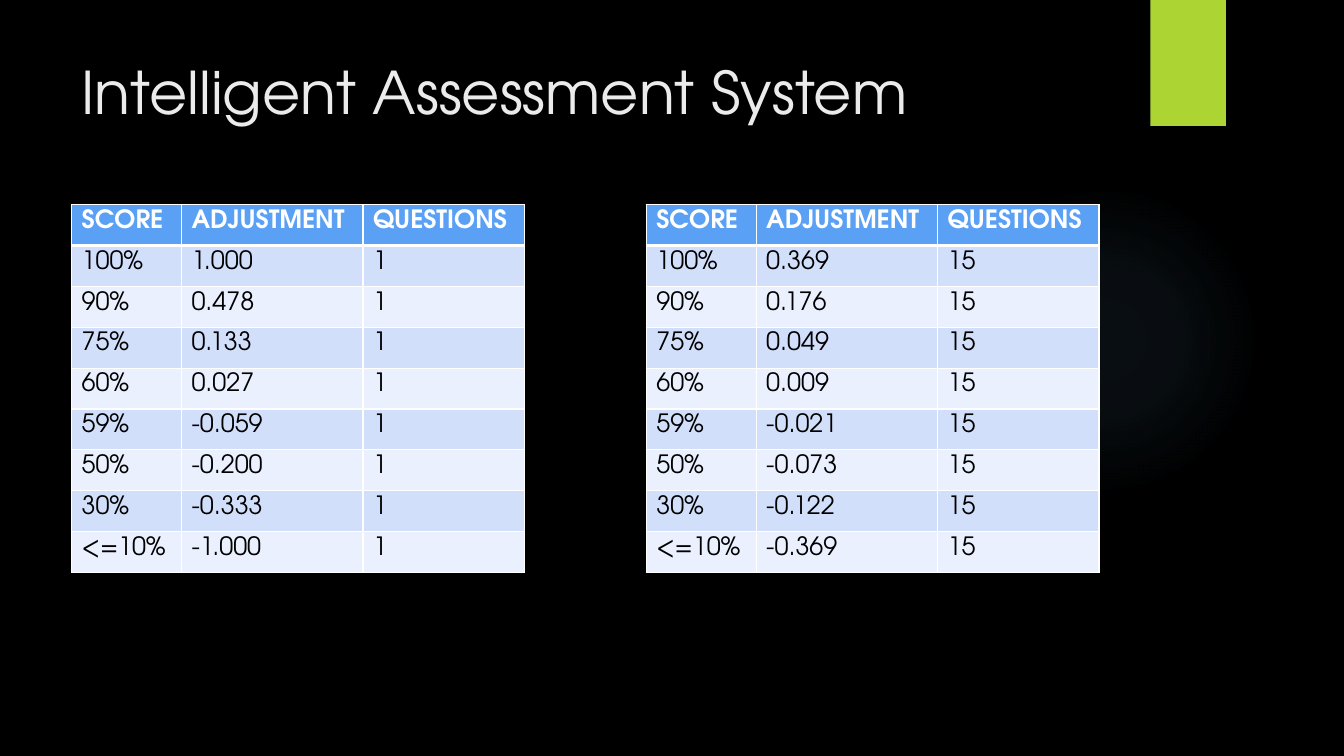
from pptx import Presentation
from pptx.dml.color import RGBColor as RGB
from pptx.enum.shapes import MSO_SHAPE as Shape
from pptx.enum.text import MSO_ANCHOR as Anchor, PP_ALIGN as Align
from pptx.oxml import parse_xml
from pptx.oxml.ns import nsdecls
from pptx.util import Inches, Pt

TITLE = "Intelligent Assessment System"
HEADERS = ("SCORE", "ADJUSTMENT", "QUESTIONS")
SCORES = ("100%", "90%", "75%", "60%", "59%", "50%", "30%", "<=10%")
TABLES = [
    {"left": 0.71, "questions": "1", "adjustments": (
        "1.000", "0.478", "0.133", "0.027", "-0.059", "-0.200", "-0.333", "-1.000")},
    {"left": 6.41, "questions": "15", "adjustments": (
        "0.369", "0.176", "0.049", "0.009", "-0.021", "-0.073", "-0.122", "-0.369")},
]
TABLE_TOP, TABLE_HEIGHT = 2.03, 3.65
COLUMN_WIDTHS = (1.09, 1.8, 1.6)
CELL_MARGIN_TOP = 0.05
GLOW_STOPS = ((0, 7), (36, 6), (69, 0))
FONT = "TeX Gyre Adventor"
COLORS = {
    "background": "000000", "title": "EBEBEB", "glow": "7AC4F0", "tab": "ACD433",
    "header": "5AA0F5", "odd": "D2DFFB", "even": "EAF0FD",
    "border": "FFFFFF", "header_text": "FFFFFF", "text": "000000",
}


def color(name):
    return RGB.from_string(COLORS[name])


def add_text(frame, text, size, color_name, bold=False):
    para = frame.paragraphs[0]
    para.alignment = Align.LEFT
    span = para.add_run()
    span.text = text
    span.font.name = FONT
    span.font.size = Pt(size)
    span.font.bold = bold
    span.font.color.rgb = color(color_name)


def add_backdrop(page, kind, left, top, width, height, fill):
    shape = page.shapes.add_shape(
        kind, Inches(left), Inches(top), Inches(width), Inches(height))
    shape.shadow.inherit = False
    shape.line.fill.background()
    shape.fill.solid()
    shape.fill.fore_color.rgb = color(fill)
    page.shapes.title.element.addprevious(shape.element)
    return shape


def add_glow(page):
    glow = add_backdrop(page, Shape.OVAL, 9.41, 1.83, 3.08, 3.08, "glow")
    stops = "".join(
        f'<a:gs pos="{position * 1000}"><a:srgbClr val="{COLORS["glow"]}">'
        f'<a:alpha val="{alpha * 1000}"/></a:srgbClr></a:gs>'
        for position, alpha in GLOW_STOPS)
    gradient = parse_xml(
        f'<a:gradFill {nsdecls("a")}><a:gsLst>{stops}</a:gsLst><a:path path="circle">'
        '<a:fillToRect l="50000" t="50000" r="50000" b="50000"/></a:path></a:gradFill>')
    properties = glow.element.spPr
    properties.replace(properties.find("{*}solidFill"), gradient)


def add_tab(page):
    tab = add_backdrop(page, Shape.RECTANGLE, 11.41, 0, 0.75, 1.25, "tab")
    tab.element.spPr.find("{*}effectLst").append(parse_xml(
        f'<a:outerShdw {nsdecls("a")} blurRad="{Pt(3)}" dist="{Pt(2)}" dir="5400000">'
        '<a:srgbClr val="000000"><a:alpha val="45000"/></a:srgbClr></a:outerShdw>'))


def set_borders(cell, row):
    properties = cell._tc.get_or_add_tcPr()
    widths = {"L": 1, "R": 1, "T": 3 if row == 1 else 1, "B": 3 if row == 0 else 1}
    for index, (side, width) in enumerate(widths.items()):
        properties.insert(index, parse_xml(
            f'<a:ln{side} {nsdecls("a")} w="{Pt(width)}"><a:solidFill>'
            f'<a:srgbClr val="{COLORS["border"]}"/></a:solidFill></a:ln{side}>'))


def add_score_table(page, left, questions, adjustments):
    rows = [HEADERS] + [
        (score, adjustment, questions) for score, adjustment in zip(SCORES, adjustments)]
    table = page.shapes.add_table(
        len(rows), len(HEADERS), Inches(left), Inches(TABLE_TOP),
        Inches(sum(COLUMN_WIDTHS)), Inches(TABLE_HEIGHT)).table
    for column, width in zip(table.columns, COLUMN_WIDTHS):
        column.width = Inches(width)
    for row, values in enumerate(rows):
        fill = "header" if row == 0 else "odd" if row % 2 else "even"
        text_color = "header_text" if row == 0 else "text"
        for column, value in enumerate(values):
            cell = table.cell(row, column)
            cell.vertical_anchor = Anchor.TOP
            cell.margin_top = Inches(CELL_MARGIN_TOP)
            cell.margin_bottom = 0
            cell.fill.solid()
            cell.fill.fore_color.rgb = color(fill)
            set_borders(cell, row)
            add_text(cell.text_frame, value, 18, text_color, bold=row == 0)


def main():
    deck = Presentation()
    deck.slide_width, deck.slide_height = Inches(13.33), Inches(7.5)
    page = deck.slides.add_slide(deck.slide_layouts.get_by_name("Title Only"))
    page.background.fill.solid()
    page.background.fill.fore_color.rgb = color("background")

    title = page.shapes.title
    title.left, title.top = Inches(0.71), Inches(0.5)
    title.width, title.height = Inches(10.29), Inches(1.53)
    title.text_frame.vertical_anchor = Anchor.TOP
    add_text(title.text_frame, TITLE, 42, "title")

    add_glow(page)
    add_tab(page)
    for content in TABLES:
        add_score_table(page, **content)
    deck.save("out.pptx")


if __name__ == "__main__":
    main()
